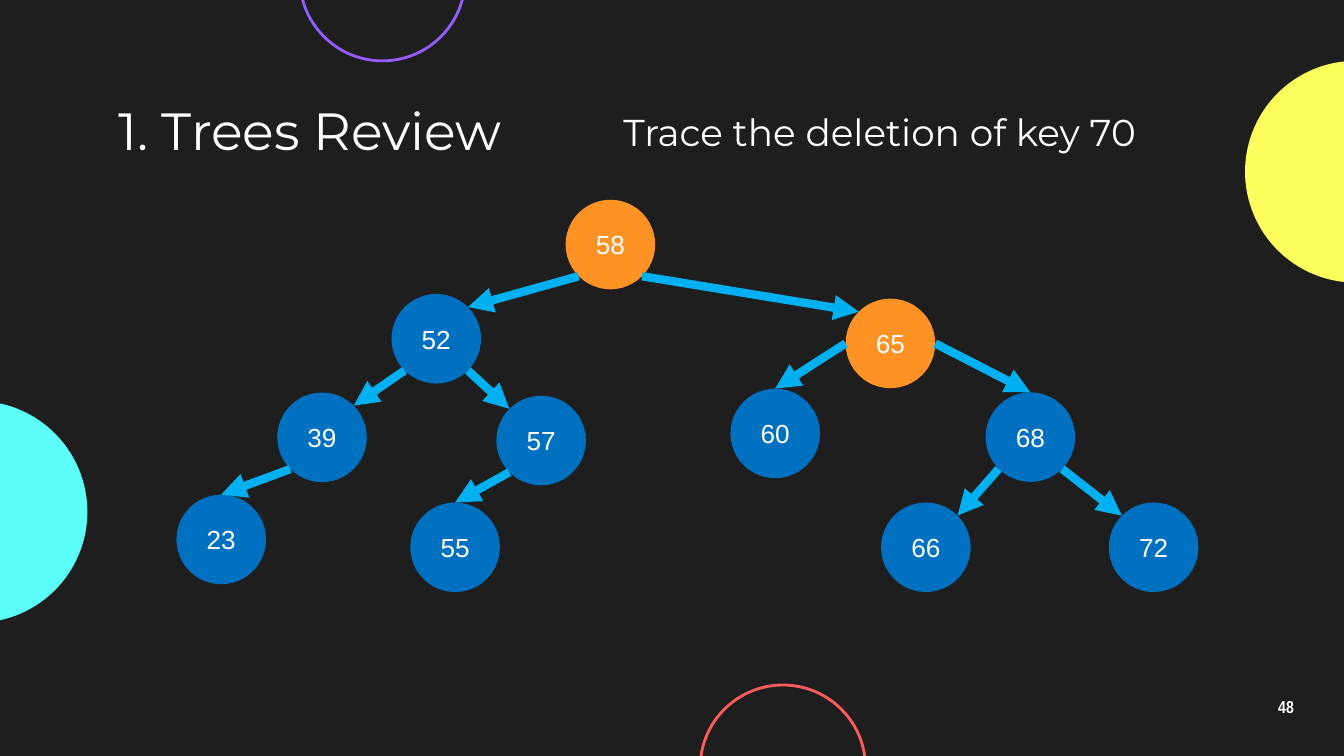
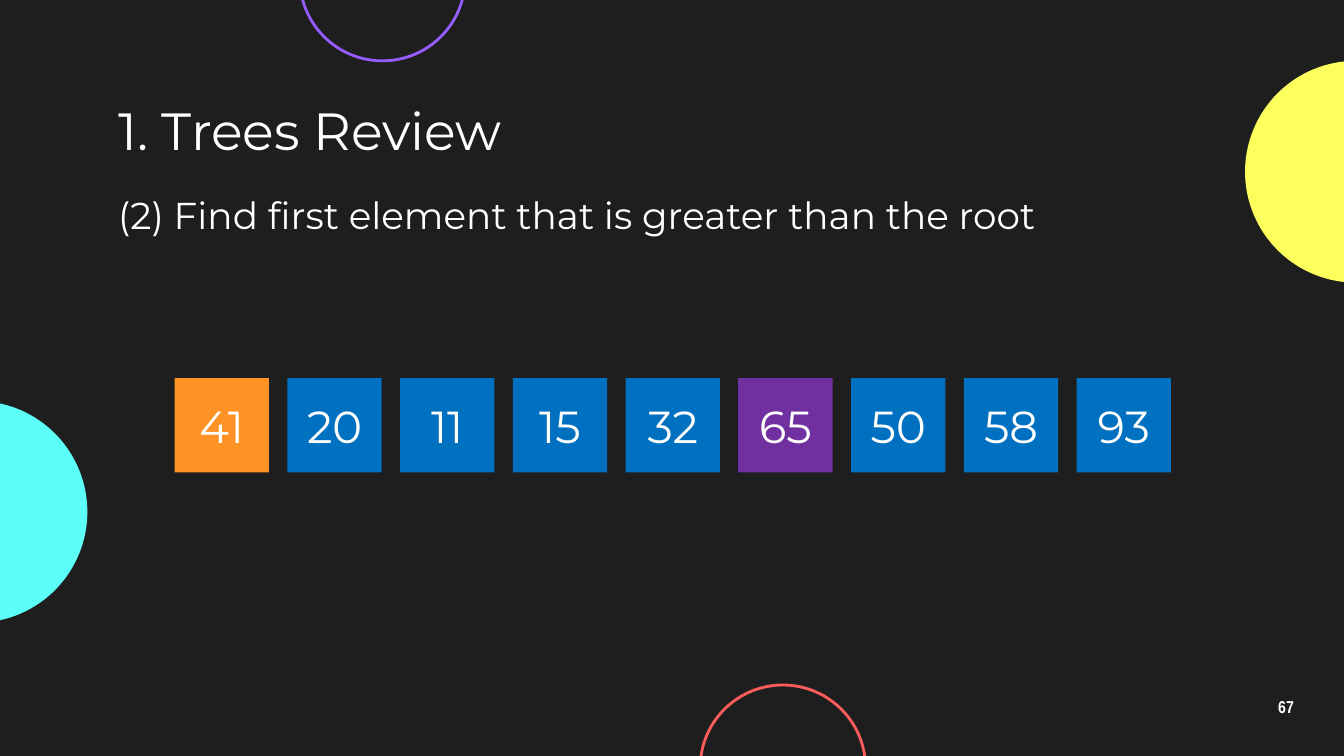
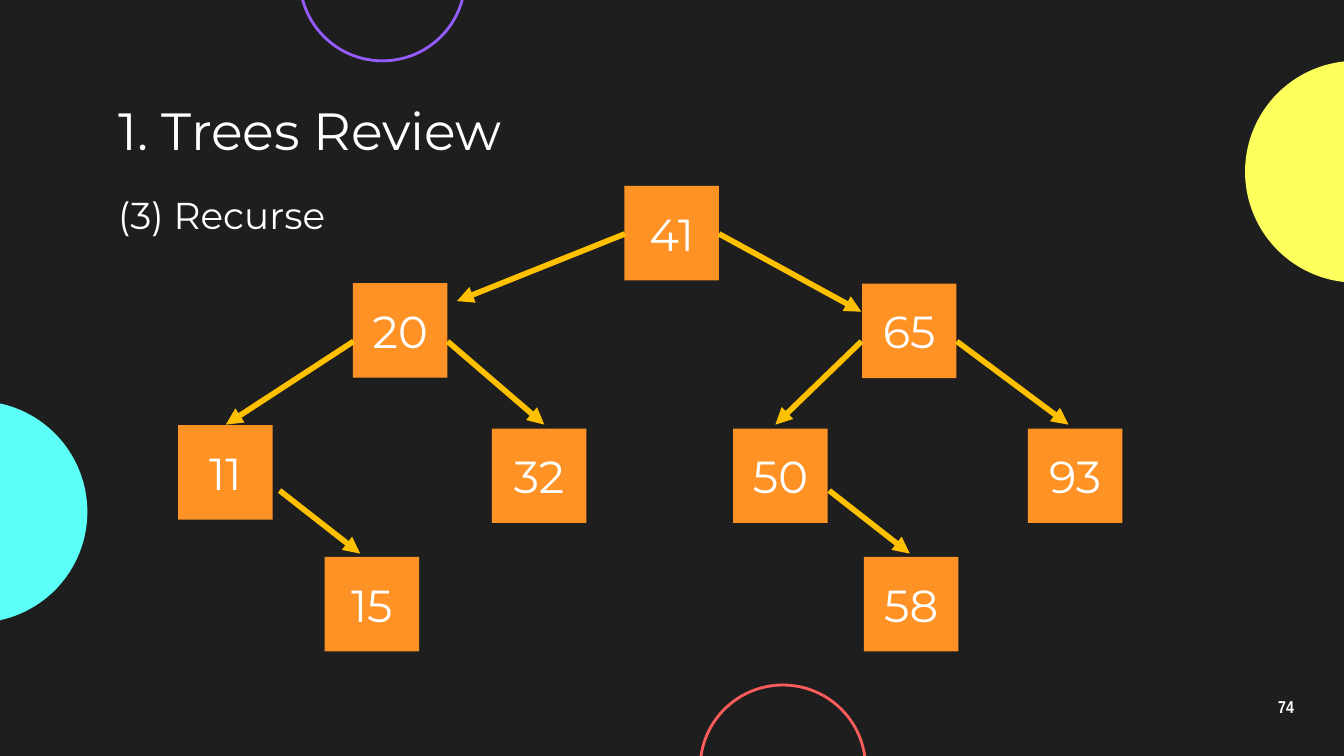
import dataclasses

import pptx
import pptx.dml.color
import pptx.enum.shapes
import pptx.enum.text
import pptx.oxml
import pptx.oxml.ns
import pptx.util

Pt = pptx.util.Pt
RGBColor = pptx.dml.color.RGBColor
Preset = pptx.enum.shapes.MSO_SHAPE
Anchor = pptx.enum.text.MSO_ANCHOR
Align = pptx.enum.text.PP_ALIGN


@dataclasses.dataclass(frozen=True)
class Theme:
    background: str = "1E1E1E"
    text: str = "FFFFFF"
    blue: str = "0070C0"
    orange: str = "FF9225"
    purple: str = "7030A0"
    sky: str = "00B0F0"
    gold: str = "FFC000"
    cyan: str = "5CFFF8"
    yellow: str = "FDFF5C"
    violet: str = "955CFF"
    coral: str = "FF5C5C"
    heading_font: str = "Montserrat"
    node_font: str = "Arial"
    number_font: str = "Arial Narrow"
    title_size: float = 28
    subtitle_size: float = 20
    square_size: float = 24
    node_size: float = 14
    number_size: float = 9.2


THEME = Theme()
TITLE = "1. Trees Review"
NODE_SIDE = 48
SQUARE_SIDE = 50.6
INSETS = {f"margin_{side}": Pt(7.2) for side in ("left", "top", "right", "bottom")}

HEADING = {"name": THEME.heading_font, "size": Pt(THEME.title_size)}
SUBTITLE = {"name": THEME.heading_font, "size": Pt(THEME.subtitle_size)}
SQUARE_TEXT = {"name": THEME.heading_font, "size": Pt(THEME.square_size)}
NODE_TEXT = {"name": THEME.node_font, "size": Pt(THEME.node_size)}
NUMBER = {"name": THEME.number_font, "size": Pt(THEME.number_size), "bold": True}

NEAR, FAR = 0.146, 0.854
NODE_ANCHORS = {
    "top": (0.5, 0),
    "left": (0, 0.5),
    "right": (1, 0.5),
    "top left": (NEAR, NEAR),
    "top right": (FAR, NEAR),
    "bottom left": (NEAR, FAR),
    "bottom right": (FAR, FAR),
}

DECORATIONS = [
    (-72, 214.8, 118.8, "fill", THEME.cyan),
    (667, 32.6, 118.8, "fill", THEME.yellow),
    (160.6, -56, 88.6, "line", THEME.violet),
    (375.1, 367, 88.6, "line", THEME.coral),
]

DELETION_NODES = {
    "58": (303, 107),
    "52": (209.7, 157.5),
    "65": (453, 160),
    "39": (148.5, 210.3),
    "57": (265.9, 212),
    "60": (391.3, 208.2),
    "68": (528, 210.2),
    "23": (94.5, 265),
    "55": (219.8, 269.2),
    "66": (472, 269.2),
    "72": (594, 269.2),
}
VISITED_NODES = {"58", "65"}
DELETION_EDGES = [
    ("58", "bottom left", "52", "top right"),
    ("58", "bottom right", "65", "top left"),
    ("52", "bottom left", "39", "top right"),
    ("52", "bottom right", "57", "top left"),
    ("65", "left", "60", "top"),
    ("65", "right", "68", "top"),
    ("39", "bottom left", "23", "top"),
    ("57", "bottom left", "55", "top"),
    ("68", "bottom left", "66", "top right"),
    ("68", "bottom right", "72", "top left"),
]

PREORDER_KEYS = ["41", "20", "11", "15", "32", "65", "50", "58", "93"]
KEY_FILLS = {"41": THEME.orange, "65": THEME.purple}

RECURSION_SQUARES = {
    "41": (334.5, 99.6),
    "20": (189.1, 151.7),
    "11": (95.4, 227.8),
    "15": (173.9, 298.4),
    "32": (263.5, 229.6),
    "65": (461.8, 152),
    "50": (392.8, 229.6),
    "58": (462.8, 298.4),
    "93": (550.7, 229.6),
}
RECURSION_ARROWS = [
    ((334.8, 125.3), (244.8, 161.3)),
    ((385.2, 125.3), (461.5, 167)),
    ((189.4, 182.9), (121, 227.5)),
    ((239.8, 182.9), (291.6, 227.5)),
    ((461.5, 182.9), (415.4, 227.5)),
    ((512.6, 182.9), (572.4, 227.5)),
    ((444.2, 262.8), (487.4, 296.6)),
    ((149.8, 262.8), (193, 296.6)),
]


def set_values(target, values):
    for name, value in values.items():
        setattr(target, name, value)


def write_text(shape, text, font_values, frame_values, paragraph_values):
    frame = shape.text_frame
    frame.text = text
    set_values(frame, {"word_wrap": True, **frame_values})
    paragraph = frame.paragraphs[0]
    set_values(paragraph, paragraph_values)
    font = paragraph.runs[0].font
    set_values(font, font_values)
    font.color.rgb = RGBColor.from_string(THEME.text)


def add_text(slide, box, text, font_values, anchor=Anchor.TOP, **paragraph_values):
    shape = slide.shapes.add_textbox(*map(Pt, box))
    frame_values = {"vertical_anchor": anchor, **INSETS}
    write_text(shape, text, font_values, frame_values, paragraph_values)


def add_circle_outline_or_disc(slide, left, top, side, part, color):
    shape = slide.shapes.add_shape(Preset.OVAL, Pt(left), Pt(top), Pt(side), Pt(side))
    shape.shadow.inherit = False
    if part == "fill":
        shape.fill.solid()
        shape.fill.fore_color.rgb = RGBColor.from_string(color)
        shape.line.fill.background()
    else:
        shape.fill.background()
        shape.line.color.rgb = RGBColor.from_string(color)
        shape.line.width = Pt(1.5)
    return shape


def add_key(slide, preset, position, side, key, color, font_values):
    left, top = position
    shape = slide.shapes.add_shape(preset, Pt(left), Pt(top), Pt(side), Pt(side))
    shape.shadow.inherit = False
    shape.fill.solid()
    shape.fill.fore_color.rgb = RGBColor.from_string(color)
    shape.line.fill.background()
    write_text(shape, key, font_values, {"vertical_anchor": Anchor.MIDDLE},
               {"alignment": Align.CENTER})


def add_node(slide, position, key, color):
    add_key(slide, Preset.OVAL, position, NODE_SIDE, key, color, NODE_TEXT)


def add_square(slide, position, key, color):
    add_key(slide, Preset.RECTANGLE, position, SQUARE_SIDE, key, color, SQUARE_TEXT)


def add_arrow(slide, start, end, color, width):
    connector = slide.shapes.add_connector(
        pptx.enum.shapes.MSO_CONNECTOR.STRAIGHT, *map(Pt, start + end))
    connector.line.color.rgb = RGBColor.from_string(color)
    connector.line.width = Pt(width)
    namespace = pptx.oxml.ns.nsdecls("a")
    connector.line._get_or_add_ln().append(
        pptx.oxml.parse_xml(f'<a:tailEnd {namespace} type="triangle"/>'))
    connector.element.spPr.append(pptx.oxml.parse_xml(f"<a:effectLst {namespace}/>"))


def node_point(key, anchor):
    return tuple(start + NODE_SIDE * share
                 for start, share in zip(DELETION_NODES[key], NODE_ANCHORS[anchor]))


def decorate_layout(layout, slide):
    for index, decoration in enumerate(DECORATIONS):
        shape = add_circle_outline_or_disc(slide, *decoration)
        shape.element.nvSpPr.cNvPr.id = 20 + index
        layout.shapes.element.insert(2 + index, shape.element)


def add_titled_slide(presentation, number):
    slide = presentation.slides.add_slide(presentation.slide_layouts[5])
    title = slide.shapes.title
    set_values(title, {"left": Pt(56.2), "top": Pt(51.1),
                       "width": Pt(607.7), "height": Pt(36.7)})
    frame_values = {"vertical_anchor": Anchor.MIDDLE,
                    "auto_size": pptx.enum.text.MSO_AUTO_SIZE.NONE, **INSETS}
    write_text(title, TITLE, HEADING, frame_values, {"alignment": Align.LEFT})
    add_text(slide, (667.4, 367.2, 43.2, 24.5), number, NUMBER, Anchor.MIDDLE,
             alignment=Align.CENTER, line_spacing=0.9)
    return slide


def build_deletion(slide):
    add_text(slide, (326.9, 51.1, 559.4, 36.7), "Trace the deletion of key 70", SUBTITLE)
    for key, position in DELETION_NODES.items():
        color = THEME.orange if key in VISITED_NODES else THEME.blue
        add_node(slide, position, key, color)
    for parent, leaving, child, entering in DELETION_EDGES:
        add_arrow(slide, node_point(parent, leaving), node_point(child, entering),
                  THEME.sky, 4.5)


def build_search(slide):
    for index, key in enumerate(PREORDER_KEYS):
        add_square(slide, (93.5 + 60.4 * index, 202.5), key,
                   KEY_FILLS.get(key, THEME.blue))
    add_text(slide, (56.2, 95.8, 527.8, 36.7),
             "(2) Find first element that is greater than the root", SUBTITLE)


def build_recursion(slide):
    for key, position in RECURSION_SQUARES.items():
        add_square(slide, position, key, THEME.orange)
    add_text(slide, (56.2, 95.8, 134.6, 36.7), "(3) Recurse", SUBTITLE)
    for start, end in RECURSION_ARROWS:
        add_arrow(slide, start, end, THEME.gold, 3)


def main():
    presentation = pptx.Presentation()
    set_values(presentation, {"slide_width": Pt(720), "slide_height": Pt(405)})
    background = presentation.slide_master.background.fill
    background.solid()
    background.fore_color.rgb = RGBColor.from_string(THEME.background)
    builders = {"48": build_deletion, "67": build_search, "74": build_recursion}
    for number, build in builders.items():
        build(add_titled_slide(presentation, number))
    decorate_layout(presentation.slide_layouts[5], presentation.slides[0])
    presentation.save("out.pptx")


if __name__ == "__main__":
    main()
